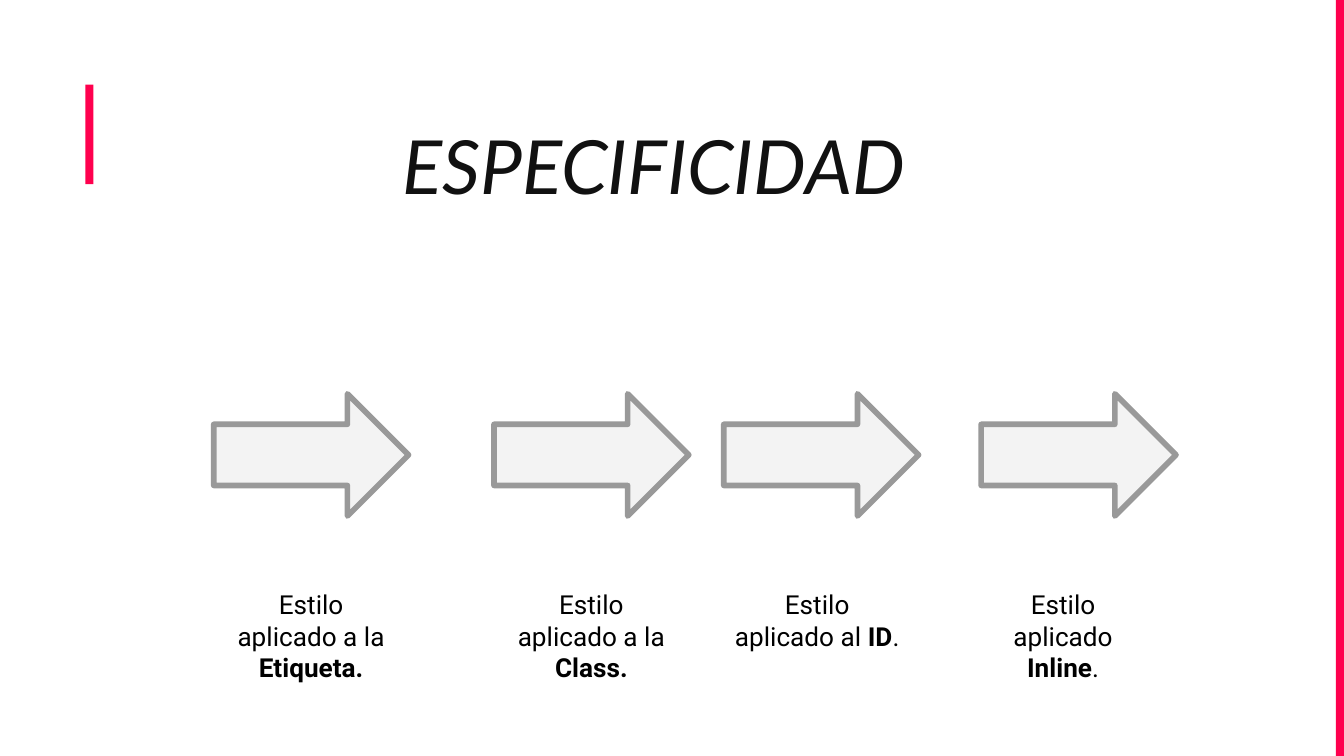
"""Build the CSS specificity slide: a title and four captioned arrows."""
from lxml.etree import SubElement
from pptx import Presentation
from pptx.dml.color import RGBColor
from pptx.enum.shapes import MSO_SHAPE
from pptx.enum.text import PP_ALIGN
from pptx.oxml.ns import qn
from pptx.util import Emu, Pt

PX = 4572
ARROW_TOP, ARROW_HEIGHT = 586, 182
LABEL_TOP, LABEL_HEIGHT = 856, 102
STEP_WIDTH = 290


def color(value):
    return RGBColor.from_string(value)


def add_text(page, left, top, width, height, font_name, size, ink):
    box = page.shapes.add_textbox(*(Emu(n * PX) for n in (left, top, width, height)))
    frame = box.text_frame
    frame.word_wrap = True
    frame.margin_left = frame.margin_right = Emu(20 * PX)
    frame.margin_top = frame.margin_bottom = Emu(20 * PX)
    para = frame.paragraphs[0]
    para.alignment = PP_ALIGN.CENTER
    para.font.name = font_name
    para.font.size = Pt(size)
    para.font.color.rgb = color(ink)
    return para


deck = Presentation()
deck.slide_width, deck.slide_height = Emu(2000 * PX), Emu(1125 * PX)
page = deck.slides.add_slide(deck.slide_layouts[6])

for bounds in ((127, 126, 12, 148), (1988, 0, 12, 1125)):
    bar = page.shapes.add_shape(MSO_SHAPE.RECTANGLE, *(Emu(n * PX) for n in bounds))
    bar.shadow.inherit = False
    bar.fill.solid()
    bar.fill.fore_color.rgb = color("FF004E")
    bar.line.fill.background()

title = add_text(page, 219, 139, 1508, 258, "Lato", 40, "111111")
title.line_spacing = 1.15
title.font.italic = True
title.add_run().text = "ESPECIFICIDAD"

steps = [
    (318, 318, "Estilo aplicado a la ", "Etiqueta.", ""),
    (735, 735, "Estilo aplicado a la ", "Class.", ""),
    (1077, 1071, "Estilo aplicado al ", "ID", "."),
    (1460, 1437, "Estilo aplicado\n", "Inline", "."),
]
for arrow_left, label_left, lead, target, ending in steps:
    arrow = page.shapes.add_shape(
        MSO_SHAPE.RIGHT_ARROW, Emu(arrow_left * PX), Emu(ARROW_TOP * PX),
        Emu(STEP_WIDTH * PX), Emu(ARROW_HEIGHT * PX))
    arrow.shadow.inherit = False
    arrow.fill.solid()
    arrow.fill.fore_color.rgb = color("F3F3F3")
    arrow.line.color.rgb = color("999999")
    arrow.line.width = Pt(3)
    SubElement(arrow.element.spPr.find(qn("a:ln")), qn("a:round"))

    label = add_text(page, label_left, LABEL_TOP, STEP_WIDTH, LABEL_HEIGHT,
                     "Roboto", 14, "000000")
    label.add_run().text = lead.rstrip("\n")
    if lead.endswith("\n"):
        label.add_line_break()
    span = label.add_run()
    span.text = target
    span.font.bold = True
    if ending:
        label.add_run().text = ending

deck.save("out.pptx")
